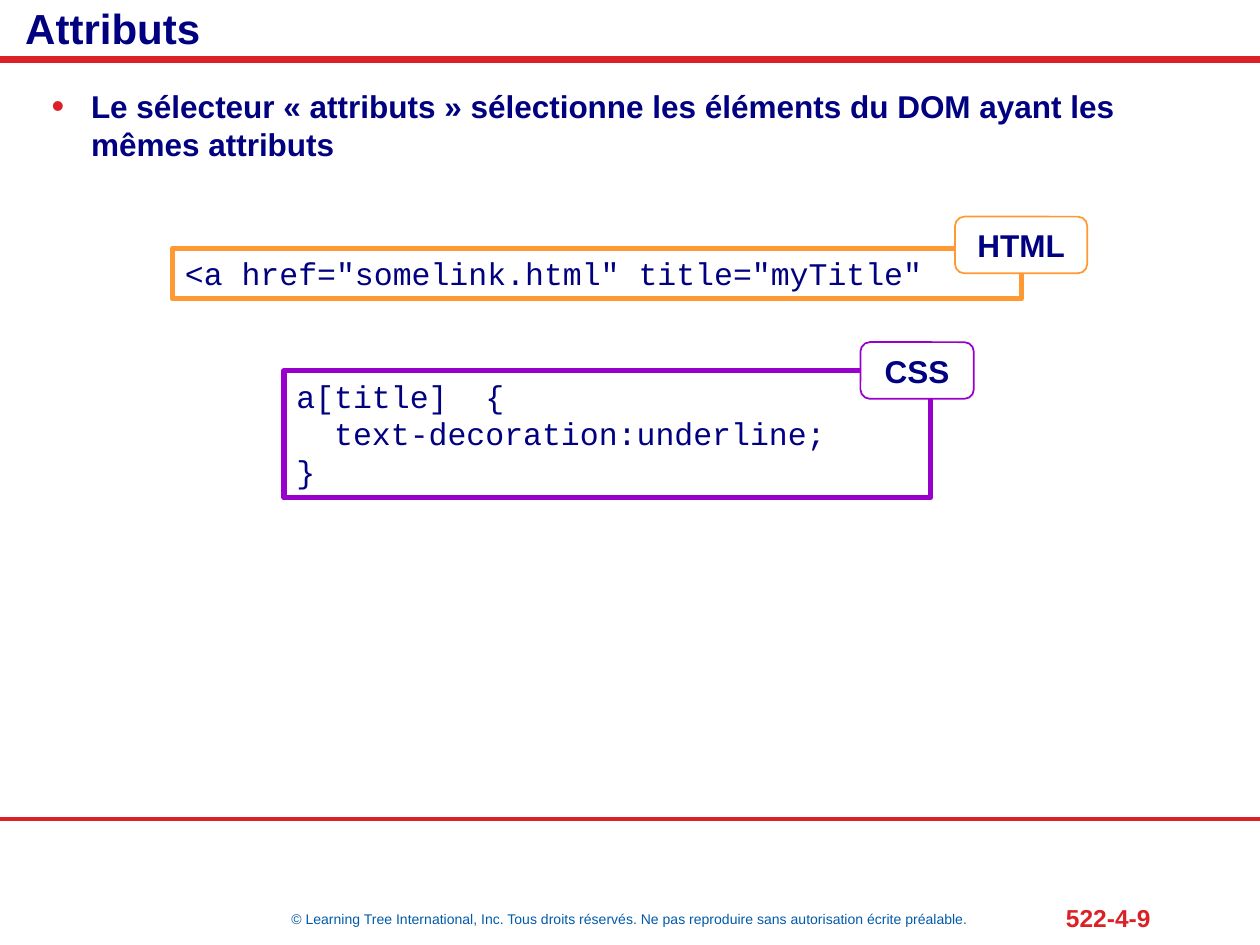
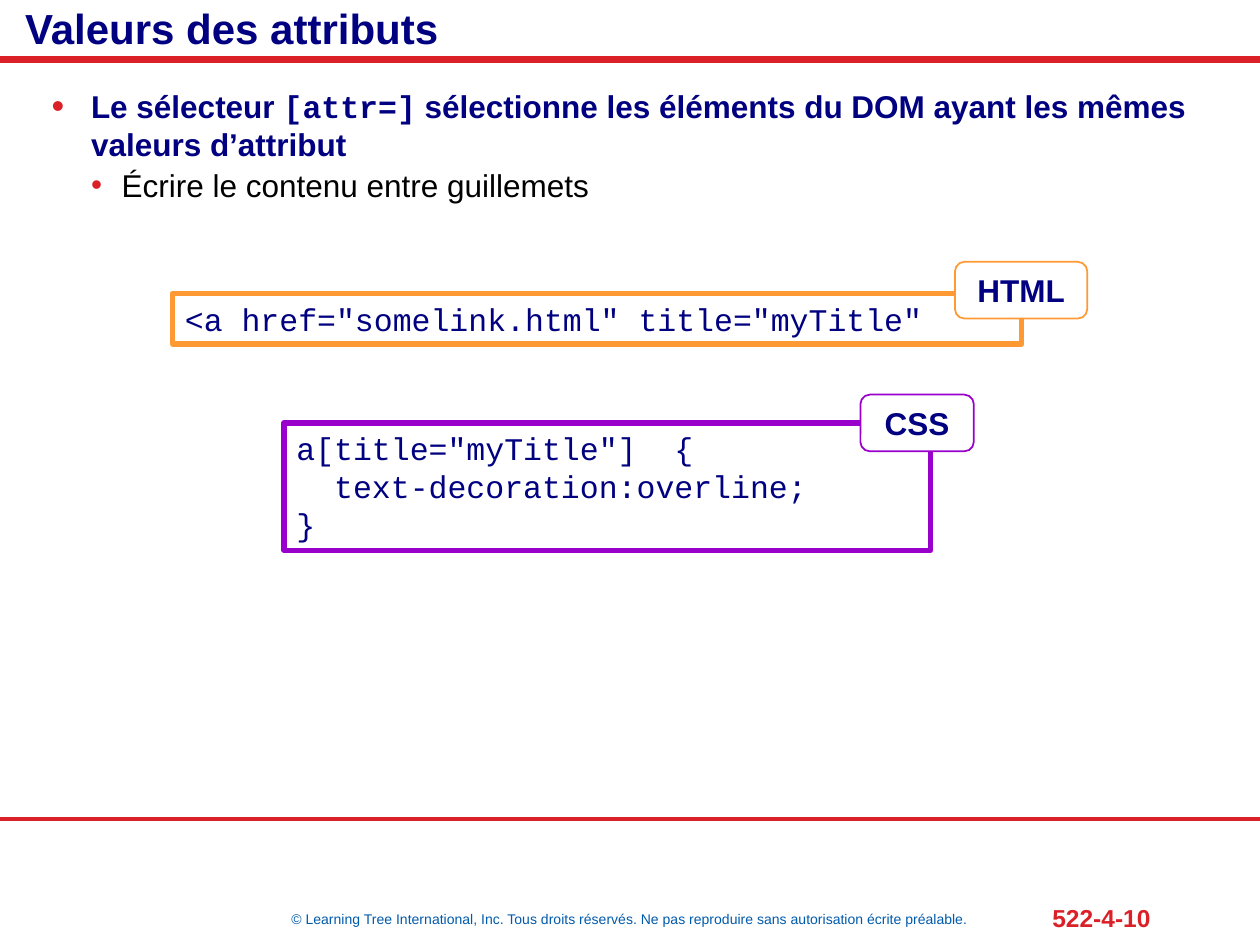
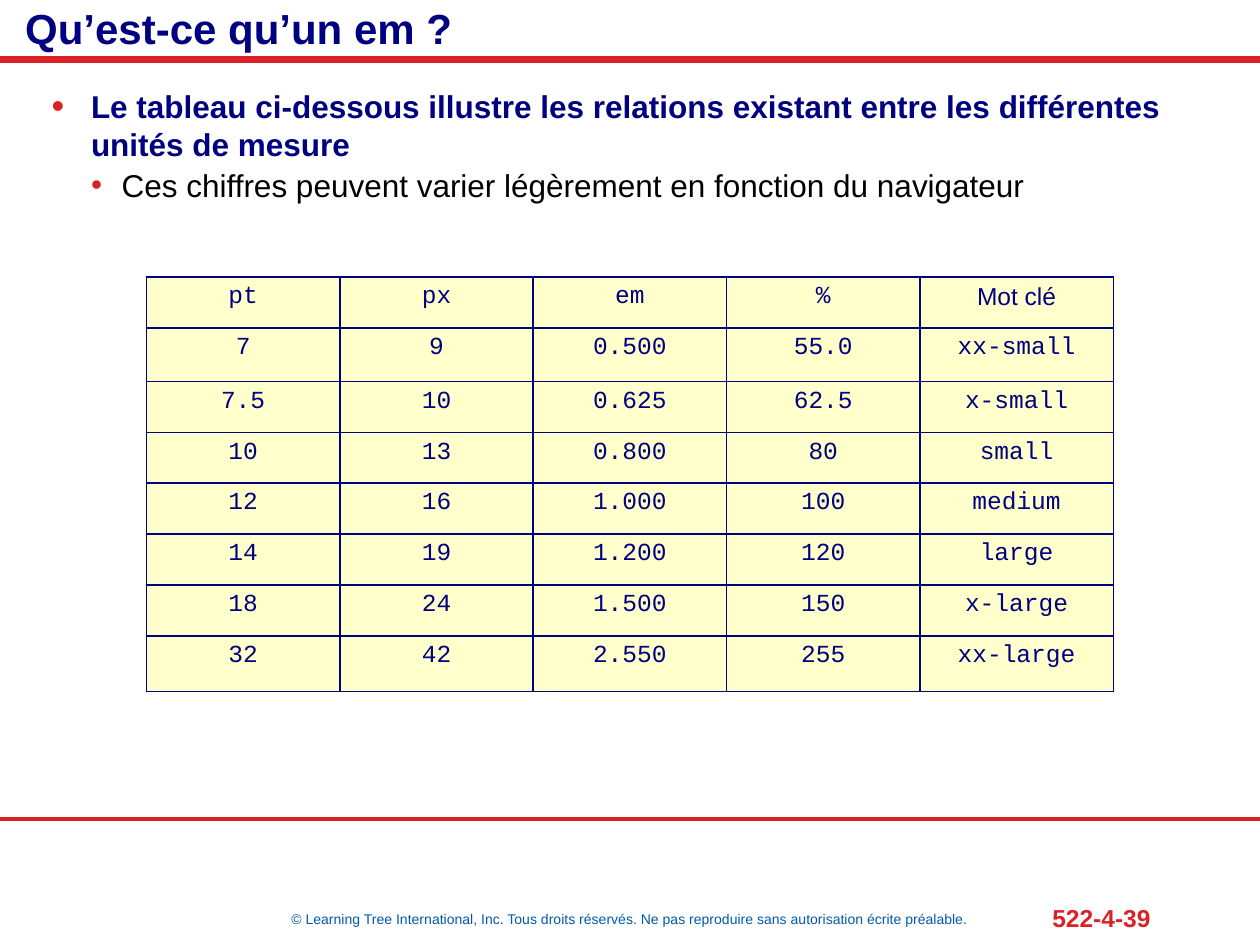
from lxml.etree import SubElement as Sub
from pptx import Presentation
from pptx.dml.color import RGBColor as Rgb
from pptx.enum.shapes import MSO_CONNECTOR as Conn, MSO_SHAPE as Shape
from pptx.enum.text import MSO_ANCHOR as Anchor, MSO_AUTO_SIZE as Auto, PP_ALIGN as Align
from pptx.oxml.ns import qn
from pptx.util import Pt

HUES = {"navy": "000080", "red": "DA2128", "blue": "005AAB", "black": "000000",
        "white": "FFFFFF", "cream": "FFFFCC", "orange": "FF9933", "purple": "9900CC"}
SANS, MONO = "Arial", "Courier New"
RIGHTS = ("© Learning Tree International, Inc. Tous droits réservés. "
          "Ne pas reproduire sans autorisation écrite préalable.")

# Code boxes: hue, left, size, then the tag's offset and width
HTML = {"name": "HTML", "hue": "orange", "left": 98.6, "size": (485.3, 29),
        "shift": (447.1, -18), "wide": 75.6}
CSS = {"name": "CSS", "hue": "purple", "left": 162.3, "size": (369.4, 72.7),
       "shift": (329.4, -16.2), "wide": 64.8}
LINK = ['<a href="somelink.html" title="myTitle"']

UNITS = [
    ("pt", "px", "em", "%", "Mot clé"),
    ("7", "9", "0.500", "55.0", "xx-small"),
    ("7.5", "10", "0.625", "62.5", "x-small"),
    ("10", "13", "0.800", "80", "small"),
    ("12", "16", "1.000", "100", "medium"),
    ("14", "19", "1.200", "120", "large"),
    ("18", "24", "1.500", "150", "x-large"),
    ("32", "42", "2.550", "255", "xx-large"),
]


def tint(name):
    return Rgb.from_string(HUES[name])


def points(*nums):
    return [Pt(num) for num in nums]


def write(par, text, font=SANS, size=18, hue="navy", bold=False, align=Align.LEFT):
    """Add one run of text to a paragraph."""
    par.alignment = align
    run = par.add_run()
    run.text = text
    face = run.font
    face.name, face.size, face.bold = font, Pt(size), bold
    face.color.rgb = tint(hue)


def fit(frame, insets=(7.2, 3.6, 7.2, 3.6), anchor=Anchor.TOP):
    frame.word_wrap = True
    frame.auto_size = Auto.NONE
    frame.vertical_anchor = anchor
    (frame.margin_left, frame.margin_top,
     frame.margin_right, frame.margin_bottom) = points(*insets)


def place(shape, *box):
    shape.left, shape.top, shape.width, shape.height = points(*box)


def rule(slide, top, width):
    line = slide.shapes.add_connector(Conn.STRAIGHT, *points(0, top, 720, top))
    line.line.color.rgb = tint("red")
    line.line.width = Pt(width)
    Sub(line._element.spPr, qn("a:effectLst"))


def label(slide, text, box, insets=(7.2, 3.6, 7.2, 3.6), **look):
    frame = slide.shapes.add_textbox(*points(*box)).text_frame
    fit(frame, insets, Anchor.MIDDLE)
    write(frame.paragraphs[0], text, **look)


def bullet(par, level):
    """Set indents and a red dot for a list level."""
    left, hang, scale = [(22.5, -22.5, 115), (40, -17.5, 100)][level]
    par.level = level
    par.space_before = Pt(2 if level else 0)
    props = par._p.get_or_add_pPr()
    props.set("marL", str(Pt(left)))
    props.set("indent", str(Pt(hang)))
    Sub(Sub(props, qn("a:buClr")), qn("a:srgbClr"), val=HUES["red"])
    Sub(props, qn("a:buSzPct"), val=str(scale * 1000))
    Sub(props, qn("a:buFont"), typeface=SANS)
    Sub(props, qn("a:buChar"), char="•")


def page(deck, title, number, lead, note=None):
    """Add a slide with title, rules, footer and list."""
    slide = deck.slides.add_slide(deck.slide_layouts[1])
    head, body = slide.placeholders[0], slide.placeholders[1]
    rule(slide, 33.8, 4)
    rule(slide, 468, 2)
    label(slide, RIGHTS, (0, 517, 720, 16.6), size=8, hue="blue", align=Align.CENTER)
    label(slide, number, (565.2, 512, 99.4, 24.5), (0, 3.6, 7.2, 3.6),
          size=14, hue="red", bold=True, align=Align.RIGHT)

    place(head, 0, 0, 720, 31.7)
    fit(head.text_frame, (14.4, 0, 7.2, 0), Anchor.MIDDLE)
    write(head.text_frame.paragraphs[0], title, size=24, bold=True)

    place(body, 22.3, 46.1, 676.8, 75 if note else 51)
    frame = body.text_frame
    fit(frame)
    par = frame.paragraphs[0]
    bullet(par, 0)
    for text, font in lead:
        write(par, text, font=font, bold=True)
    if note:
        par = frame.add_paragraph()
        bullet(par, 1)
        write(par, note, hue="black")
    return slide


def panel(slide, kind, box, hue, width):
    shape = slide.shapes.add_shape(kind, *points(*box))
    shape.shadow.inherit = False
    shape.fill.solid()
    shape.fill.fore_color.rgb = tint("white")
    shape.line.color.rgb = tint(hue)
    shape.line.width = Pt(width)
    return shape.text_frame


def code(slide, kind, top, lines):
    """Draw a framed code sample with its language tag."""
    left, hue = kind["left"], kind["hue"]
    frame = panel(slide, Shape.RECTANGLE, (left, top, *kind["size"]), hue, 3)
    fit(frame)
    for num, line in enumerate(lines):
        par = frame.add_paragraph() if num else frame.paragraphs[0]
        write(par, line, font=MONO)
    right, down = kind["shift"]
    box = (left + right, top + down, kind["wide"], 32.4)
    frame = panel(slide, Shape.ROUNDED_RECTANGLE, box, hue, 1)
    fit(frame, anchor=Anchor.MIDDLE)
    write(frame.paragraphs[0], kind["name"], bold=True, align=Align.CENTER)


def edge(cell):
    props = cell._tc.get_or_add_tcPr()
    for side in "LRTB":
        line = Sub(props, qn("a:ln" + side), w=str(Pt(1)))
        Sub(Sub(line, qn("a:solidFill")), qn("a:srgbClr"), val=HUES["navy"])


def grid(slide, rows, left, top, wide, highs):
    count = len(rows[0])
    box = points(left, top, wide * count, sum(highs))
    table = slide.shapes.add_table(len(rows), count, *box).table
    for col in table.columns:
        col.width = Pt(wide)
    for r, (row, high) in enumerate(zip(rows, highs)):
        table.rows[r].height = Pt(high)
        for c, text in enumerate(row):
            cell = table.cell(r, c)
            edge(cell)
            cell.fill.solid()
            cell.fill.fore_color.rgb = tint("cream")
            font = SANS if text == "Mot clé" else MONO
            write(cell.text_frame.paragraphs[0], text, font=font, size=14,
                  align=Align.CENTER)


def main():
    deck = Presentation()
    deck.slide_width, deck.slide_height = points(720, 540)

    # Attribute selector
    slide = page(deck, "Attributs", "522-4-9", [
        ("Le sélecteur « attributs » sélectionne les éléments du DOM "
         "ayant les mêmes attributs", SANS)])
    code(slide, CSS, 211.7, ["a[title]  {", "  text-decoration:underline;", "}"])
    code(slide, HTML, 141.8, LINK)

    # Attribute value selector
    slide = page(deck, "Valeurs des attributs", "522-4-10", [
        ("Le sélecteur ", SANS), ("[attr=]", MONO),
        (" sélectionne les éléments du DOM ayant les mêmes valeurs d’attribut", SANS)],
        "Écrire le contenu entre guillemets")
    code(slide, CSS, 241.7, ['a[title="myTitle"]  {', "  text-decoration:overline;", "}"])
    code(slide, HTML, 167.6, LINK)

    # Units of measure
    slide = page(deck, "Qu’est-ce qu’un em ?", "522-4-39", [
        ("Le tableau ci-dessous illustre les relations existant entre les "
         "différentes unités de mesure", SANS)],
        "Ces chiffres peuvent varier légèrement en fonction du navigateur")
    grid(slide, UNITS, 83.7, 158.3, 110.5, [29.1, 30.6] + [29.1] * 5 + [31.7])

    deck.save("out.pptx")


if __name__ == "__main__":
    main()
